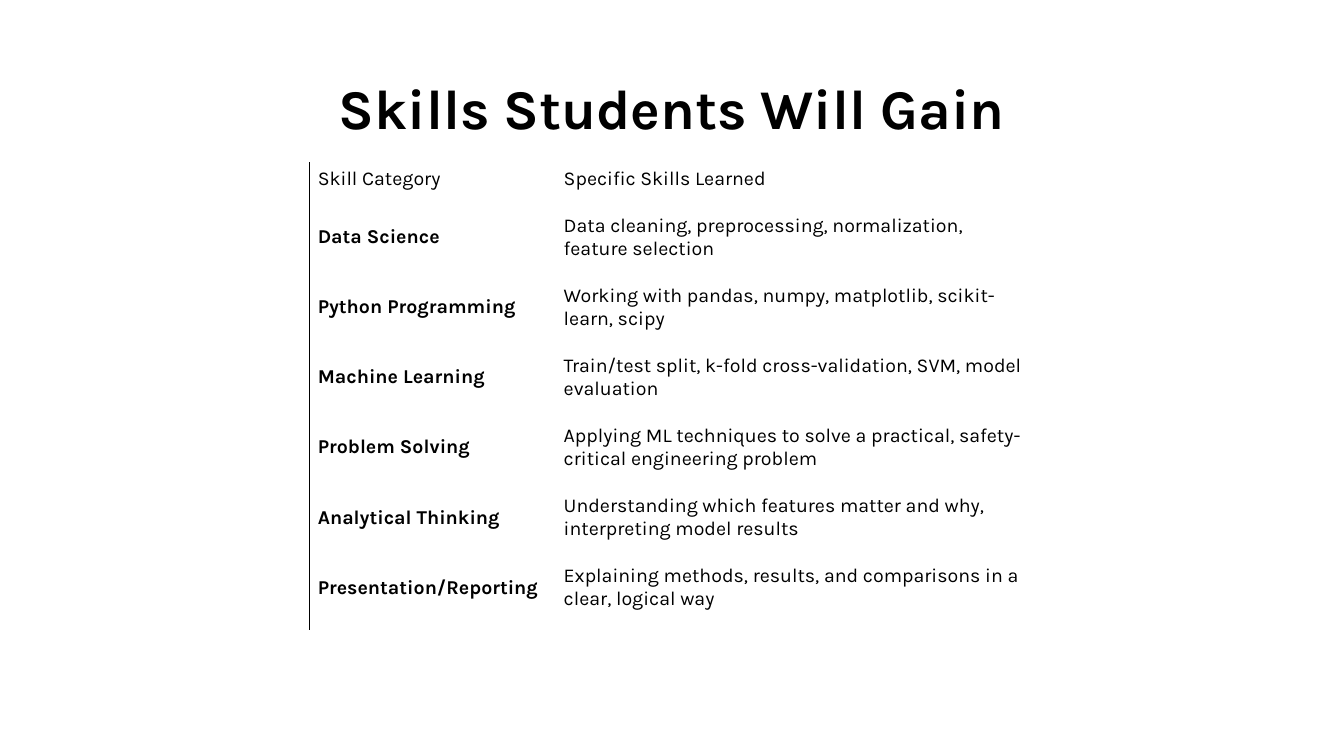
"""Build the slide listing the skills students will gain."""
from lxml.etree import SubElement
from pptx import Presentation
from pptx.dml.color import RGBColor
from pptx.enum.text import MSO_ANCHOR, PP_ALIGN
from pptx.oxml import parse_xml
from pptx.oxml.ns import nsdecls, qn
from pptx.util import Pt

COLORS = {"background": "FFFFFF", "text": "000000", "rule": "000000"}
FONT = "Karla"
LEFT, WIDTH = 221, 517.7
COLUMN_WIDTHS = [175.7, 342]
HEADER_HEIGHT, ROW_HEIGHT = 33.5, 50.1
SKILLS = [
    ("Skill Category", "Specific Skills Learned"),
    ("Data Science", "Data cleaning, preprocessing, normalization, feature selection"),
    ("Python Programming", "Working with pandas, numpy, matplotlib, scikit-learn, scipy"),
    ("Machine Learning", "Train/test split, k-fold cross-validation, SVM, model evaluation"),
    ("Problem Solving", "Applying ML techniques to solve a practical, safety-critical engineering problem"),
    ("Analytical Thinking", "Understanding which features matter and why, interpreting model results"),
    ("Presentation/Reporting", "Explaining methods, results, and comparisons in a clear, logical way"),
]


def add_run(paragraph, text, size, bold):
    run = paragraph.add_run()
    run.text = text
    run.font.name = FONT
    run.font.size = Pt(size)
    run.font.bold = bold
    run.font.color.rgb = RGBColor.from_string(COLORS["text"])


def set_borders(cell, has_left_rule):
    properties = cell._tc.get_or_add_tcPr()
    for index, side in enumerate(("lnL", "lnR", "lnT", "lnB")):
        line = parse_xml(f'<a:{side} {nsdecls("a")} w="{Pt(0.75)}"/>')
        if side == "lnL" and has_left_rule:
            fill = SubElement(line, qn("a:solidFill"))
            SubElement(fill, qn("a:srgbClr"), val=COLORS["rule"])
        else:
            SubElement(line, qn("a:noFill"))
        properties.insert(index, line)


presentation = Presentation()
presentation.slide_width = Pt(960)
presentation.slide_height = Pt(540)
slide = presentation.slides.add_slide(presentation.slide_layouts[5])
slide.background.fill.solid()
slide.background.fill.fore_color.rgb = RGBColor.from_string(COLORS["background"])

title = slide.shapes.title
title.left, title.top, title.width, title.height = Pt(LEFT), Pt(28), Pt(WIDTH), Pt(77)
title.text_frame.word_wrap = True
title.text_frame.vertical_anchor = MSO_ANCHOR.BOTTOM
heading = title.text_frame.paragraphs[0]
heading.alignment = PP_ALIGN.CENTER
heading.line_spacing = 0.9
add_run(heading, "Skills Students Will Gain", 40, True)

table_height = HEADER_HEIGHT + ROW_HEIGHT * (len(SKILLS) - 1)
table = slide.shapes.add_table(
    len(SKILLS), len(COLUMN_WIDTHS), Pt(LEFT), Pt(116), Pt(WIDTH), Pt(table_height)
).table
table.first_row = False
table.horz_banding = False
for column, width in zip(table.columns, COLUMN_WIDTHS):
    column.width = Pt(width)

for row_index, skill in enumerate(SKILLS):
    table.rows[row_index].height = Pt(ROW_HEIGHT if row_index else HEADER_HEIGHT)
    for column_index, text in enumerate(skill):
        cell = table.cell(row_index, column_index)
        cell.fill.background()
        cell.vertical_anchor = MSO_ANCHOR.MIDDLE
        cell.margin_left, cell.margin_top = Pt(6), Pt(1.6)
        cell.margin_right, cell.margin_bottom = Pt(8), Pt(12)
        set_borders(cell, column_index == 0)
        is_category = row_index > 0 and column_index == 0
        add_run(cell.text_frame.paragraphs[0], text, 14, is_category)

presentation.save("out.pptx")
